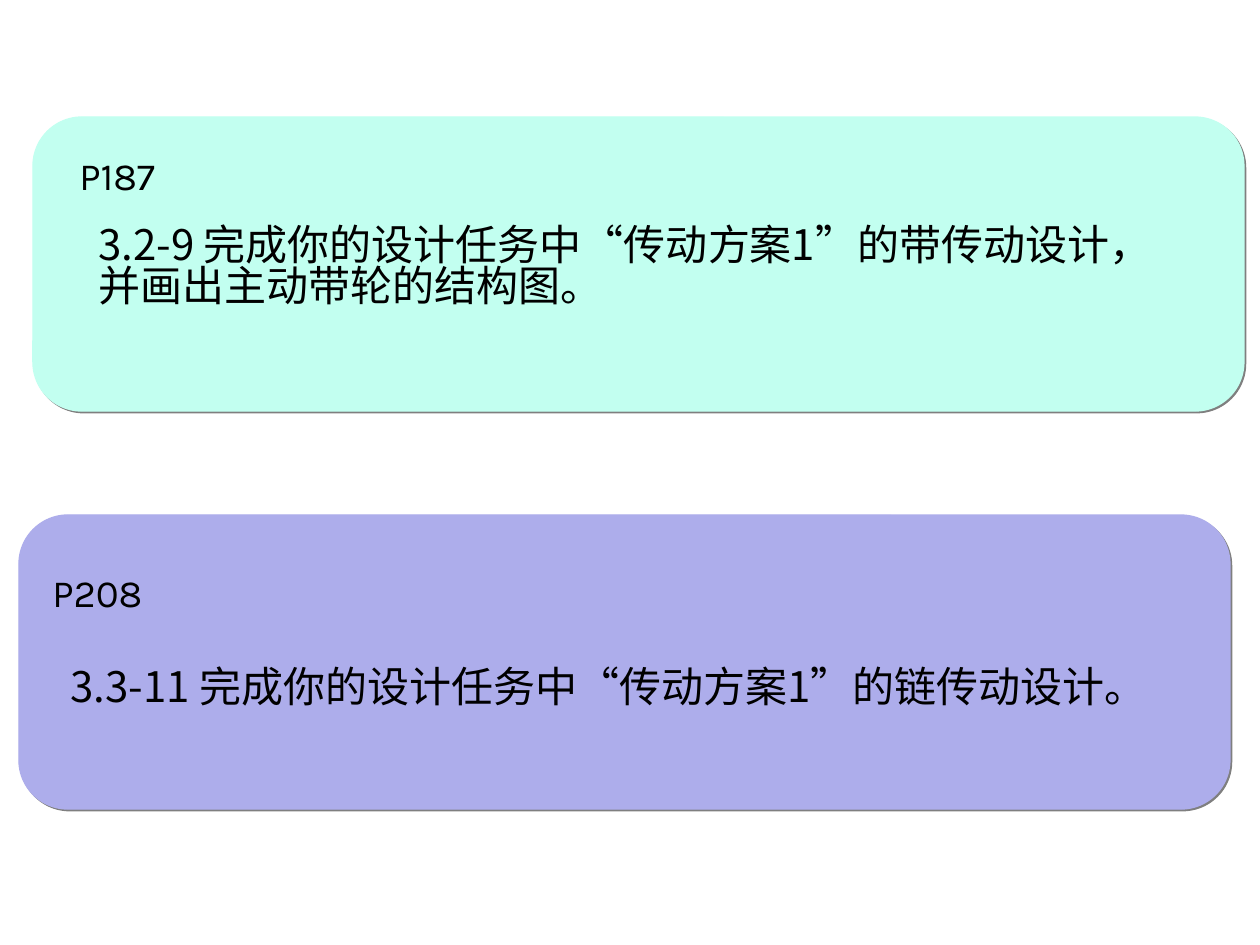
from dataclasses import dataclass

import lxml.etree
import pptx
import pptx.dml.color
import pptx.enum.shapes
import pptx.enum.text
import pptx.oxml
import pptx.oxml.ns
import pptx.util

PX = 914400 / 126


@dataclass(frozen=True)
class Theme:
    mint: str = "C2FFF0"
    lavender: str = "ADADEB"
    text: str = "000000"
    label_font: str = "Karla"
    body_font: str = "Noto Sans CJK SC"
    label_size: int = 22
    body_size: int = 24
    body_spacing: float = 0.82
    outline: float = 0.75


THEME = Theme()


def emu(*lengths):
    return [pptx.util.Emu(round(length * PX)) for length in lengths]


def rgb(value):
    return pptx.dml.color.RGBColor.from_string(value)


def set_values(target, values):
    for name, value in values.items():
        setattr(target, name, value)


def add_shadow(shape):
    namespace = pptx.oxml.ns.nsdecls("a")
    effects = pptx.oxml.parse_xml(
        f'<a:effectLst {namespace}><a:outerShdw blurRad="0" dist="17780" '
        'dir="2700000" algn="tl" rotWithShape="0"><a:srgbClr val="000000">'
        '<a:alpha val="50000"/></a:srgbClr></a:outerShdw></a:effectLst>'
    )
    properties = shape._element.spPr
    for old in properties.findall(pptx.oxml.ns.qn("a:effectLst")):
        properties.remove(old)
    properties.append(effects)


def add_card(slide, box, color):
    kind = pptx.enum.shapes.MSO_SHAPE.ROUNDED_RECTANGLE
    shape = slide.shapes.add_shape(kind, *emu(*box))
    shape.fill.solid()
    shape.fill.fore_color.rgb = rgb(color)
    shape.line.color.rgb = rgb(color)
    shape.line.width = pptx.util.Pt(THEME.outline)
    add_shadow(shape)


def add_text(slide, box, text, font_name, size, spacing=1.0):
    shape = slide.shapes.add_textbox(*emu(*box))
    set_values(shape.text_frame, {
        "word_wrap": True,
        "auto_size": pptx.enum.text.MSO_AUTO_SIZE.SHAPE_TO_FIT_TEXT,
    })
    paragraph = shape.text_frame.paragraphs[0]
    paragraph.line_spacing = spacing
    run = paragraph.add_run()
    run.text = text
    set_values(run.font, {"name": font_name, "size": pptx.util.Pt(size)})
    run.font.color.rgb = rgb(THEME.text)
    east_asian = lxml.etree.SubElement(
        run._r.get_or_add_rPr(), pptx.oxml.ns.qn("a:ea"))
    east_asian.set("typeface", font_name)


def add_label(slide, left, top, text):
    box = (left, top, 420, 59)
    add_text(slide, box, text, THEME.label_font, THEME.label_size)


def add_task(slide, box, text):
    add_text(slide, box, text, THEME.body_font, THEME.body_size,
             THEME.body_spacing)


def main():
    presentation = pptx.Presentation()
    width, height = emu(1260, 945)
    set_values(presentation, {"slide_width": width, "slide_height": height})
    slide = presentation.slides.add_slide(presentation.slide_layouts[6])

    add_card(slide, (33, 117, 1211, 294), THEME.mint)
    add_label(slide, 67, 146, "P187")
    add_task(slide, (86, 221, 1056, 115),
             "3.2-9 完成你的设计任务中“传动方案1”的带传动设计，并画出主动带轮的结构图。")

    add_card(slide, (19, 515, 1211, 294), THEME.lavender)
    add_task(slide, (58, 663, 1138, 63),
             "3.3-11 完成你的设计任务中“传动方案1”的链传动设计。")
    add_label(slide, 40, 563, "P208")

    presentation.save("out.pptx")


if __name__ == "__main__":
    main()
